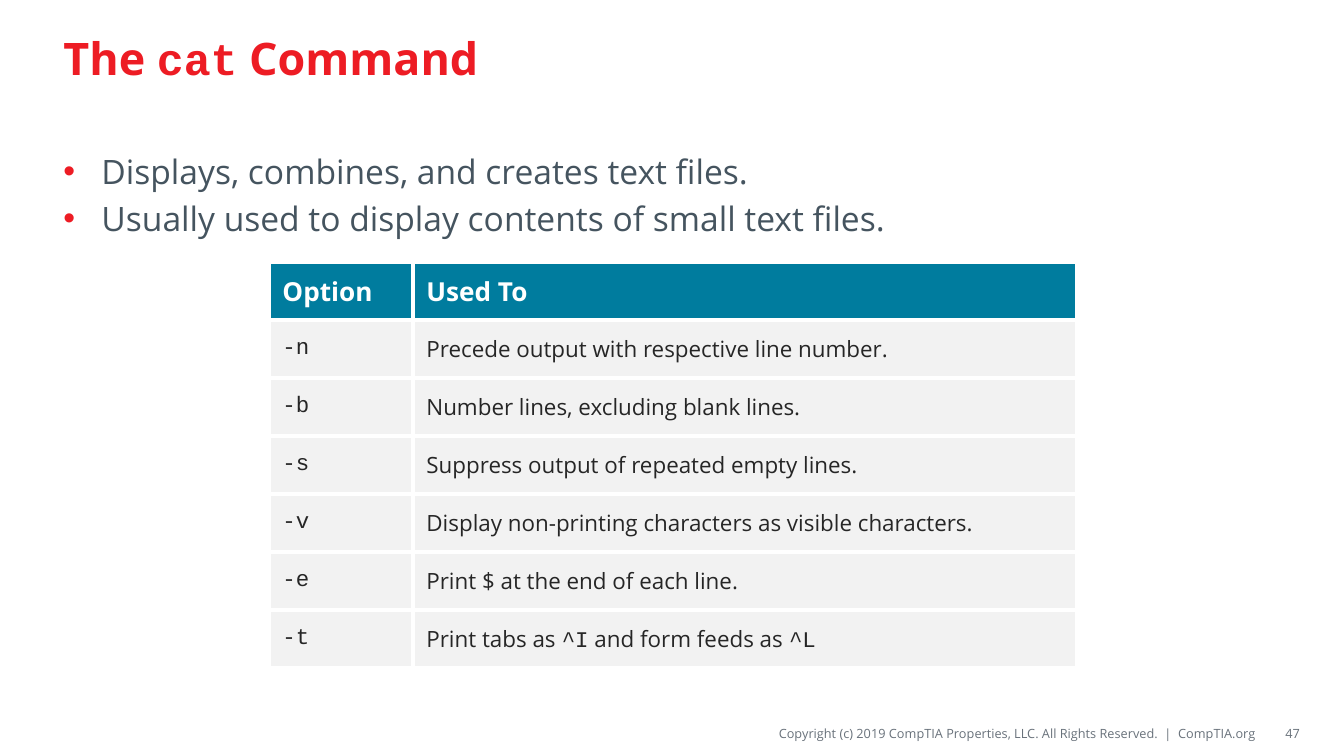
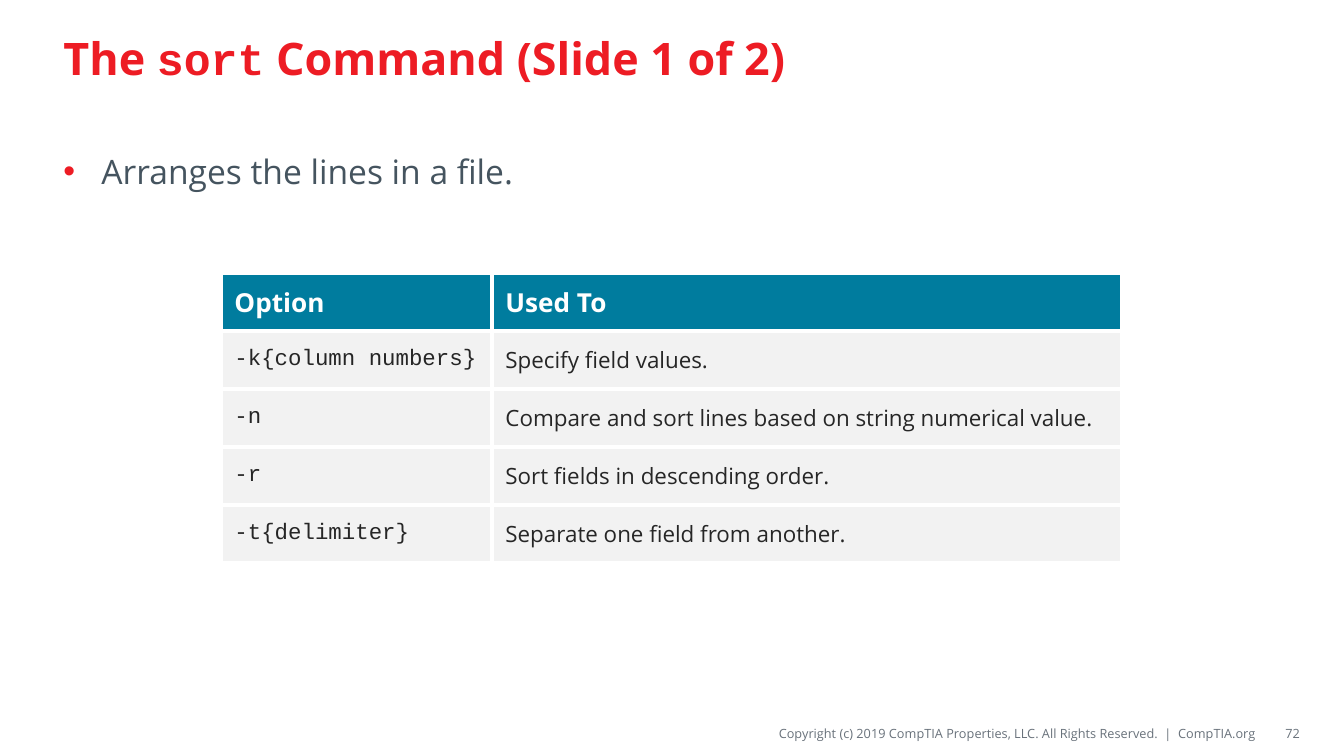
from dataclasses import dataclass
from itertools import product

from lxml.etree import SubElement
from pptx import Presentation
from pptx.dml.color import RGBColor as Rgb
from pptx.enum.text import MSO_ANCHOR as Anchor, MSO_AUTO_SIZE as AutoSize, PP_ALIGN as Align
from pptx.oxml.ns import qn
from pptx.util import Pt

SLIDE_WIDTH, SLIDE_HEIGHT = 1344, 756
EMU_PER_PX = 9144000 / SLIDE_WIDTH


@dataclass(frozen=True)
class Theme:
    sans: str = "Open Sans"
    mono: str = "Courier New"
    accent: str = "ED1C24"
    body: str = "45545F"
    footer: str = "69727B"
    header_fill: str = "007C9E"
    row_fill: str = "F2F2F2"
    row_text: str = "262626"
    white: str = "FFFFFF"
    title_size: float = 24
    body_size: float = 18
    header_size: float = 14
    row_size: float = 12
    footer_size: float = 6.8
    border_width: float = 2.25


THEME = Theme()

TITLE_BOX = (50, 11, 1243, 93)
BODY_BOX = (50, 144, 1243, 524)
COPYRIGHT_BOX = (521, 718, 735, 30)
NUMBER_BOX = (1261, 718, 39, 30)
BULLET_INDENT = 38
ROW_HEIGHT = 58

COPYRIGHT = "Copyright (c) 2019 CompTIA Properties, LLC. All Rights Reserved.  |  CompTIA.org"
HEADER = ("Option", "Used To")

PAGES = [
    {
        "number": "47",
        "title": "The `cat` Command",
        "bullets": [
            "Displays, combines, and creates text files.",
            "Usually used to display contents of small text files.",
        ],
        "origin": (269, 262),
        "columns": (144, 664),
        "options": [
            ("`-n`", "Precede output with respective line number."),
            ("`-b`", "Number lines, excluding blank lines."),
            ("`-s`", "Suppress output of repeated empty lines."),
            ("`-v`", "Display non-printing characters as visible characters."),
            ("`-e`", "Print $ at the end of each line."),
            ("`-t`", "Print tabs as `^I` and form feeds as `^L`"),
        ],
    },
    {
        "number": "72",
        "title": "The `sort` Command (Slide 1 of 2)",
        "bullets": ["Arranges the lines in a file."],
        "origin": (221, 273),
        "columns": (271, 630),
        "options": [
            ("`-k{column numbers}`", "Specify field values."),
            ("`-n`", "Compare and sort lines based on string numerical value."),
            ("`-r`", "Sort fields in descending order."),
            ("`-t{delimiter}`", "Separate one field from another."),
        ],
    },
]


def px(length):
    return round(length * EMU_PER_PX)


def place(shape, box):
    shape.left, shape.top, shape.width, shape.height = map(px, box)


def write(para, text, size, color, bold=False):
    for index, piece in enumerate(text.split("`")):
        if piece:
            span = para.add_run()
            span.text = piece
            span.font.name = THEME.mono if index % 2 else THEME.sans
            span.font.size = Pt(size)
            span.font.bold = bold
            span.font.color.rgb = Rgb.from_string(color)


def add_bullet(para):
    properties = para._p.get_or_add_pPr()
    properties.set("marL", str(px(BULLET_INDENT)))
    properties.set("indent", str(-px(BULLET_INDENT)))
    color = SubElement(properties, qn("a:buClr"))
    SubElement(color, qn("a:srgbClr"), val=THEME.accent)
    SubElement(properties, qn("a:buFont"), typeface="Arial")
    SubElement(properties, qn("a:buChar"), char="•")


def fill_title(page, box, text):
    title = page.shapes.title
    place(title, box)
    frame = title.text_frame
    frame.auto_size = AutoSize.NONE
    frame.vertical_anchor = Anchor.MIDDLE
    para = frame.paragraphs[0]
    para.alignment = Align.LEFT
    write(para, text, THEME.title_size, THEME.accent, bold=True)


def fill_body(page, box, bullets):
    body = page.placeholders[1]
    place(body, box)
    frame = body.text_frame
    frame.auto_size = AutoSize.NONE
    frame.text = "\n".join(bullets)
    for para in frame.paragraphs:
        add_bullet(para)
        for span in para.runs:
            span.font.name = THEME.sans
            span.font.size = Pt(THEME.body_size)
            span.font.color.rgb = Rgb.from_string(THEME.body)
    frame.paragraphs[0].space_before = Pt(0)


def add_footer_text(page, box, text, left_inset):
    frame_box = page.shapes.add_textbox(*map(px, box))
    frame = frame_box.text_frame
    frame.word_wrap = True
    frame.vertical_anchor = Anchor.MIDDLE
    frame.margin_left, frame.margin_right = px(left_inset), 0
    frame.margin_top = frame.margin_bottom = px(6)
    para = frame.paragraphs[0]
    para.alignment = Align.RIGHT
    write(para, text, THEME.footer_size, THEME.footer)


def add_borders(cell):
    properties = cell._tc.get_or_add_tcPr()
    for side in ("lnL", "lnR", "lnT", "lnB"):
        line = SubElement(properties, qn(f"a:{side}"), w=str(Pt(THEME.border_width)))
        fill = SubElement(line, qn("a:solidFill"))
        SubElement(fill, qn("a:srgbClr"), val=THEME.white)


def add_option_table(page, origin, columns, options):
    rows = [HEADER, *options]
    box = (*origin, sum(columns), ROW_HEIGHT * len(rows))
    table = page.shapes.add_table(len(rows), len(columns), *map(px, box)).table
    table.horz_banding = False
    for column, width in zip(table.columns, columns):
        column.width = px(width)
    for row in table.rows:
        row.height = px(ROW_HEIGHT)
    for r, c in product(range(len(rows)), range(len(columns))):
        cell = table.cell(r, c)
        is_header = r == 0
        add_borders(cell)
        cell.fill.solid()
        cell.fill.fore_color.rgb = Rgb.from_string(THEME.header_fill if is_header else THEME.row_fill)
        cell.vertical_anchor = Anchor.MIDDLE
        size = THEME.header_size if is_header else THEME.row_size
        color = THEME.white if is_header else THEME.row_text
        write(cell.text_frame.paragraphs[0], rows[r][c], size, color, bold=is_header)


def add_command_page(deck, content):
    page = deck.slides.add_slide(deck.slide_layouts[1])
    add_footer_text(page, COPYRIGHT_BOX, COPYRIGHT, 0)
    fill_title(page, TITLE_BOX, content["title"])
    add_footer_text(page, NUMBER_BOX, content["number"], 13)
    fill_body(page, BODY_BOX, content["bullets"])
    add_option_table(page, content["origin"], content["columns"], content["options"])


def main():
    deck = Presentation()
    deck.slide_width, deck.slide_height = px(SLIDE_WIDTH), px(SLIDE_HEIGHT)
    for content in PAGES:
        add_command_page(deck, content)
    deck.save("out.pptx")


if __name__ == "__main__":
    main()
